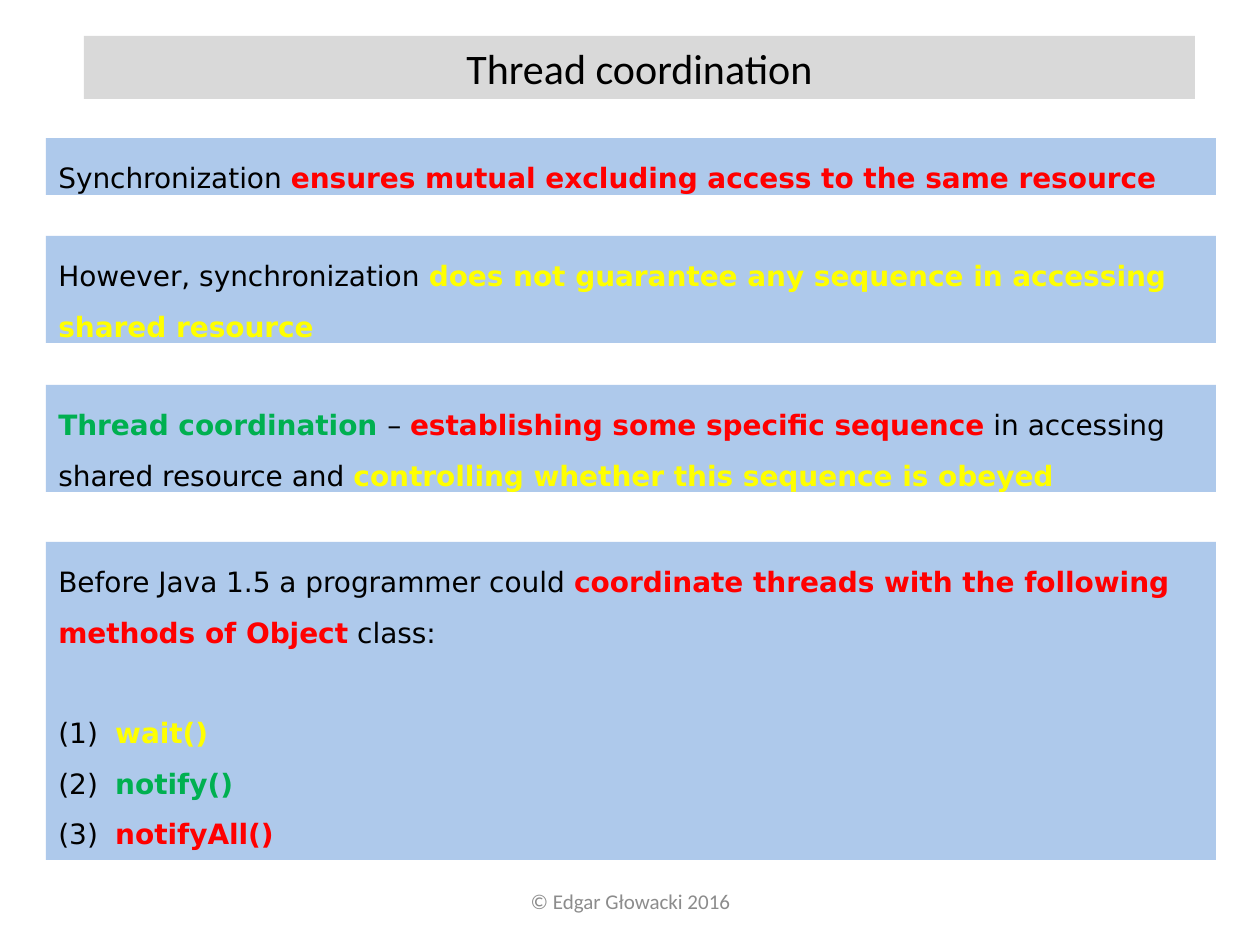
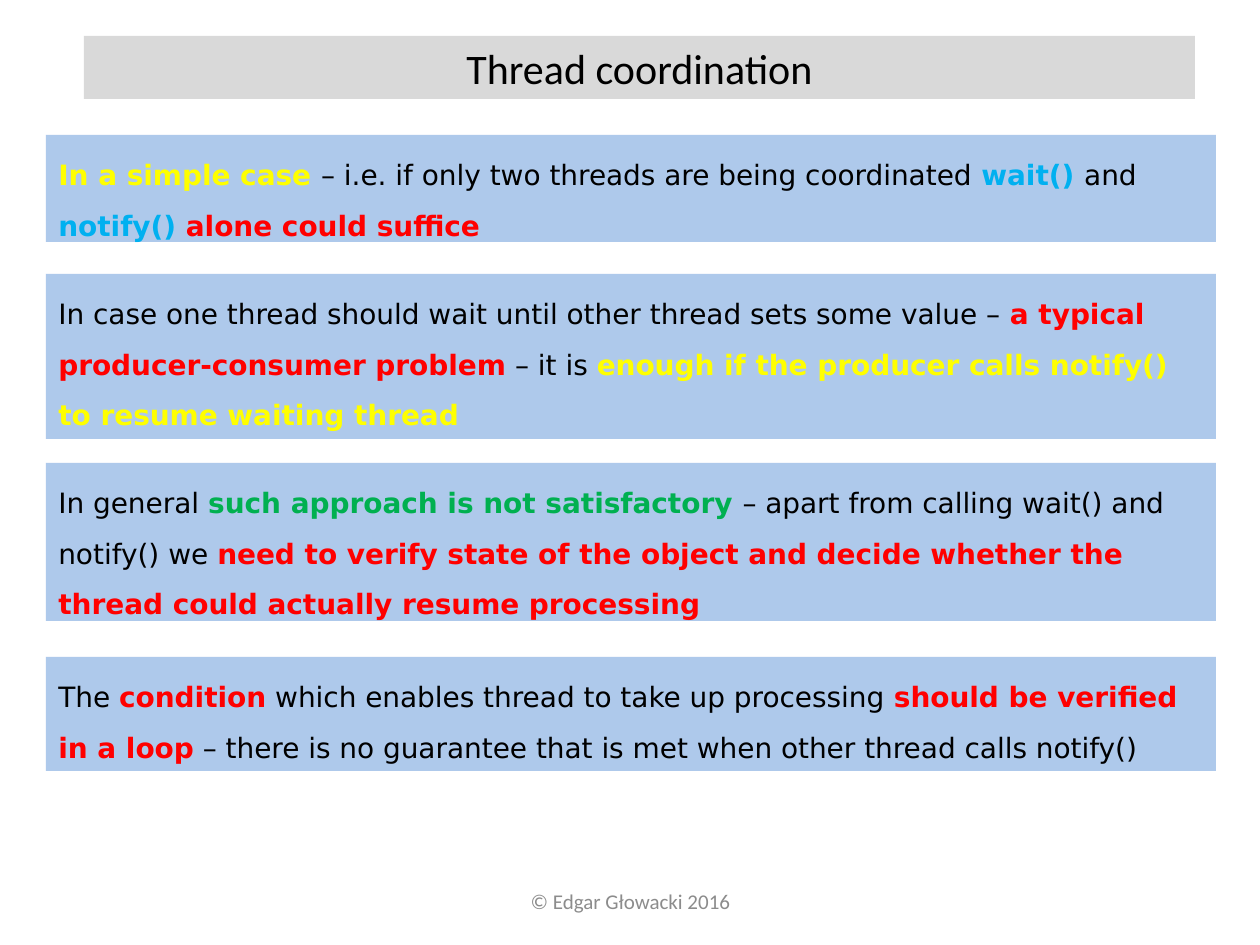
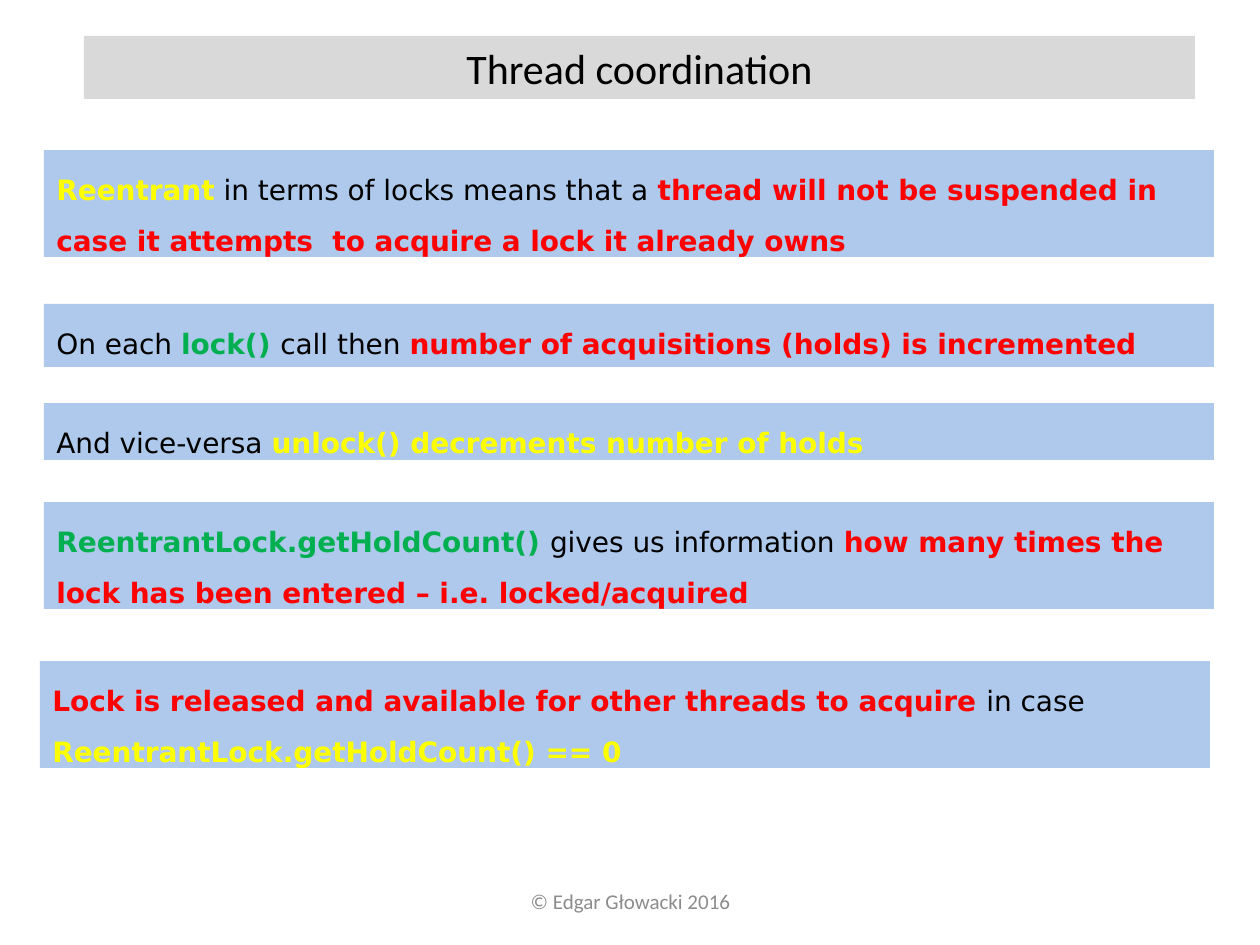
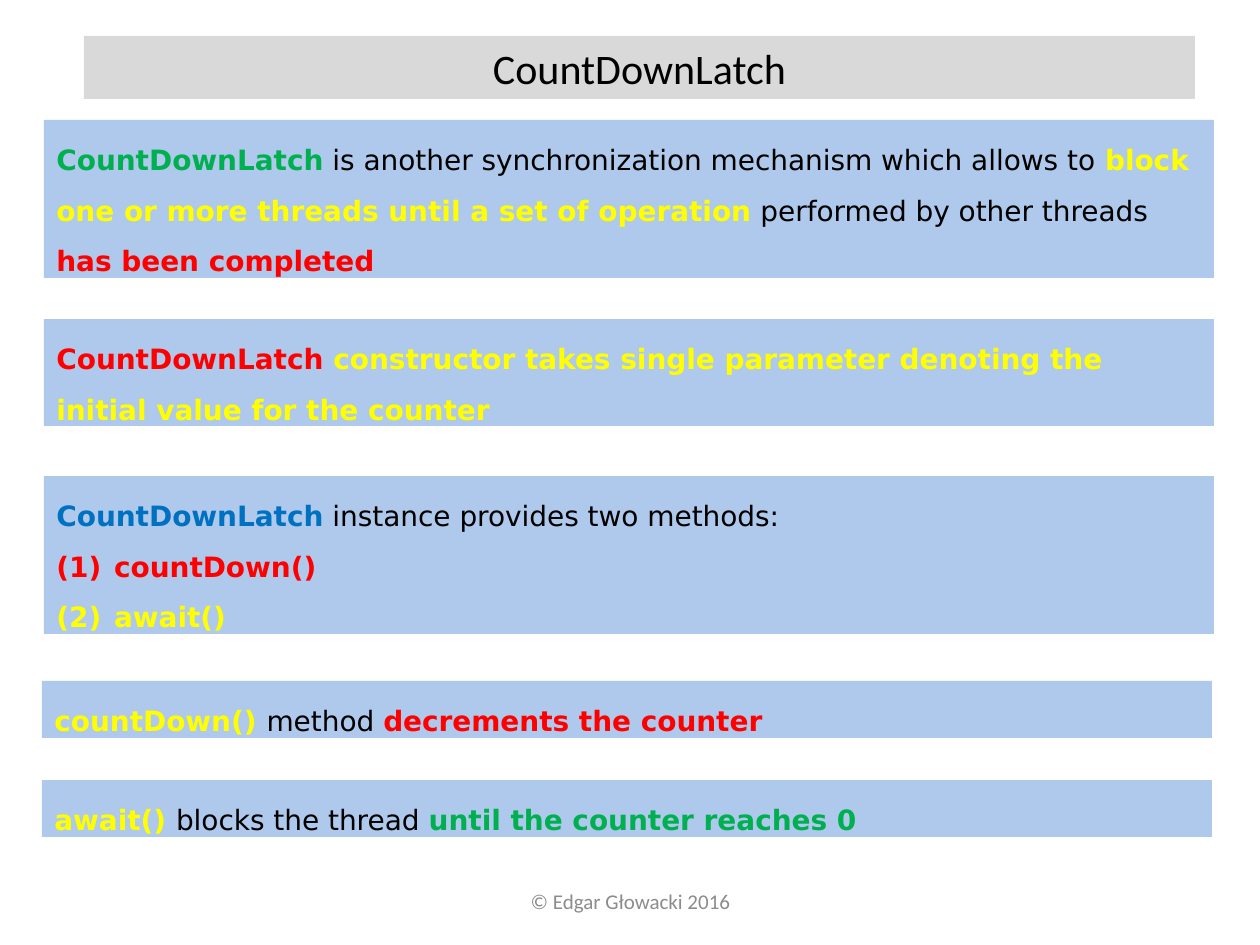
from dataclasses import dataclass

from lxml import etree
from pptx import Presentation
from pptx.dml.color import RGBColor
from pptx.enum.shapes import MSO_SHAPE
from pptx.enum.text import MSO_ANCHOR, MSO_AUTO_SIZE, PP_ALIGN
from pptx.oxml.ns import qn
from pptx.util import Pt

RECTANGLE = MSO_SHAPE.RECTANGLE
TOP, MIDDLE = MSO_ANCHOR.TOP, MSO_ANCHOR.MIDDLE
LEFT, CENTER = PP_ALIGN.LEFT, PP_ALIGN.CENTER
GROW = MSO_AUTO_SIZE.SHAPE_TO_FIT_TEXT
PX = 914400 / 126


@dataclass(frozen=True)
class Theme:
    black: str = "000000"
    red: str = "FF0000"
    yellow: str = "FFFF00"
    green: str = "00B050"
    sky: str = "00B0F0"
    blue: str = "0070C0"
    title_band: str = "D9D9D9"
    panel: str = "8EB4E3"
    panel_alpha: int = 71000
    footer: str = "8C8C8C"
    heading_font: str = "Calibri"
    body_font: str = "DejaVu Sans"
    title_size: int = 24
    body_size: int = 16
    footer_size: int = 12
    line_spacing: float = 1.5
    list_gap: float = 28.8


theme = Theme()
BLACK, RED, YELLOW, GREEN = theme.black, theme.red, theme.yellow, theme.green
SKY, BLUE = theme.sky, theme.blue

FOOTER = "© Edgar Głowacki 2016"
PANEL_WIDTH = 1170
LIST_INDENT = 48

# Each slide: title, then panels as (left, top, height, paragraphs, numbered items, gap before the items).
# A paragraph is a list of (text, colour); every coloured text is bold.
slides = [
    ("Thread coordination", [
        (46, 138, 57, [[
            ("Synchronization ", BLACK),
            ("ensures mutual excluding access to the same resource", RED)]], [], 0),
        (46, 236, 107, [[
            ("However, synchronization ", BLACK),
            ("does not guarantee any sequence in accessing shared resource", YELLOW)]], [], 0),
        (46, 385, 107, [[
            ("Thread coordination ", GREEN), ("– ", BLACK),
            ("establishing some specific sequence", RED),
            (" in accessing shared resource and ", BLACK),
            ("controlling whether this sequence is obeyed", YELLOW)]], [], 0),
        (46, 542, 318, [[
            ("Before Java 1.5 a programmer could ", BLACK),
            ("coordinate threads with the following methods of Object", RED),
            (" class:", BLACK)]], [
            [(" ", BLACK), ("wait()", YELLOW)],
            [(" ", BLACK), ("notify()", GREEN)],
            [(" ", BLACK), ("notifyAll()", RED)]], theme.list_gap),
    ]),
    ("Thread coordination", [
        (46, 135, 107, [[
            ("In a simple case ", YELLOW),
            ("– i.e. if only two threads are being coordinated ", BLACK),
            ("wait() ", SKY), ("and ", BLACK), ("notify() ", SKY),
            ("alone could suffice", RED)]], [], 0),
        (46, 274, 165, [[
            ("In case one thread should wait until other thread sets some value – ", BLACK),
            ("a typical producer-consumer problem", RED), (" – it is ", BLACK),
            ("enough if the producer calls notify() to resume waiting thread", YELLOW)]], [], 0),
        (46, 463, 158, [[
            ("In general ", BLACK), ("such approach is not satisfactory ", GREEN),
            ("– apart from calling wait() and notify() we ", BLACK),
            ("need to verify state of the object and decide whether the thread "
             "could actually resume processing", RED)]], [], 0),
        (46, 657, 114, [[
            ("The ", BLACK), ("condition", RED),
            (" which enables thread to take up processing ", BLACK),
            ("should be verified in a loop", RED),
            (" – there is no guarantee that is met when other thread calls notify()", BLACK)]], [], 0),
    ]),
    ("Thread coordination", [
        (44, 150, 107, [[
            ("Reentrant", YELLOW), (" in terms of locks means that a ", BLACK),
            ("thread will not be suspended in case it attempts  to acquire a lock "
             "it already owns", RED)]], [], 0),
        (44, 304, 63, [[
            ("On each ", BLACK), ("lock() ", GREEN), ("call then ", BLACK),
            ("number of acquisitions (holds) is incremented", RED)]], [], 0),
        (44, 403, 57, [[
            ("And vice-versa ", BLACK),
            ("unlock() decrements number of holds", YELLOW)]], [], 0),
        (44, 502, 107, [[
            ("ReentrantLock.getHoldCount() ", GREEN), ("gives us information ", BLACK),
            ("how many times the lock has been entered – i.e. locked/acquired", RED)]], [], 0),
        (40, 661, 107, [[
            ("Lock is released and available for other threads to acquire ", RED),
            ("in case ", BLACK), ("ReentrantLock.getHoldCount() == 0", YELLOW)]], [], 0),
    ]),
    ("CountDownLatch", [
        (44, 120, 158, [[
            ("CountDownLatch", GREEN),
            (" is another synchronization mechanism which allows to ", BLACK),
            ("block one or more threads until a set of operation", YELLOW),
            (" performed by other threads ", BLACK), ("has been completed", RED)]], [], 0),
        (44, 319, 107, [[
            ("CountDownLatch ", RED),
            ("constructor takes single parameter denoting the initial value "
             "for the counter", YELLOW)]], [], 0),
        (44, 476, 158, [[
            ("CountDownLatch", BLUE), (" instance provides two methods:", BLACK)]], [
            [(" countDown()", RED)],
            [(" await()", YELLOW)]], 0),
        (42, 681, 57, [[
            ("countDown() ", YELLOW), ("method ", BLACK),
            ("decrements the counter", RED)]], [], 0),
        (42, 780, 57, [[
            ("await() ", YELLOW), ("blocks the thread ", BLACK),
            ("until the counter reaches 0", GREEN)]], [], 0),
    ]),
]


def px(*lengths):
    return [round(length * PX) for length in lengths]


def style(font, name, size, colour, bold=False):
    font.name = name
    font.size = Pt(size)
    font.bold = bold
    font.color.rgb = RGBColor.from_string(colour)


deck = Presentation()
deck.slide_width, deck.slide_height = px(1260, 945)
blank = deck.slide_layouts[6]

for title, panels in slides:
    slide = deck.slides.add_slide(blank)

    # Footer
    footer = slide.shapes.add_textbox(*px(431, 876, 399, 50)).text_frame
    footer.word_wrap = True
    footer.vertical_anchor = MIDDLE
    footer.text = FOOTER
    footer.paragraphs[0].alignment = CENTER
    style(footer.paragraphs[0].runs[0].font, theme.heading_font, theme.footer_size, theme.footer)

    # Title band and panels share one kind of box
    boxes = [(84, 36, 1111, 63, theme.title_band)]
    boxes += [(left, top, PANEL_WIDTH, height, theme.panel) for left, top, height, *_ in panels]
    frames = []
    for *place, fill in boxes:
        box = slide.shapes.add_shape(RECTANGLE, *px(*place))
        box.shadow.inherit = False
        box.line.fill.background()
        box.fill.solid()
        box.fill.fore_color.rgb = RGBColor.from_string(fill)
        if fill == theme.panel:
            colour = box.fill._xPr.find(".//" + qn("a:srgbClr"))
            etree.SubElement(colour, qn("a:alpha"), val=str(theme.panel_alpha))
        box.text_frame.word_wrap = True
        box.text_frame.auto_size = GROW
        box.text_frame.vertical_anchor = TOP
        frames.append(box.text_frame)

    # Title text
    heading, *bodies = frames
    heading.text = title
    heading.paragraphs[0].alignment = CENTER
    style(heading.paragraphs[0].runs[0].font, theme.heading_font, theme.title_size, BLACK)

    # Panel text, with numbered items after the plain paragraphs
    for body, (*_, sentences, items, gap) in zip(bodies, panels):
        for index, pieces in enumerate(sentences + items):
            paragraph = body.add_paragraph() if index else body.paragraphs[0]
            if index >= len(sentences):
                properties = paragraph._p.get_or_add_pPr()
                indent, = px(LIST_INDENT)
                properties.set("marL", str(indent))
                properties.set("indent", str(-indent))
                etree.SubElement(properties, qn("a:buAutoNum"), type="arabicParenBoth")
                if gap and index == len(sentences):
                    paragraph.space_before = Pt(gap)
            paragraph.alignment = LEFT
            paragraph.line_spacing = theme.line_spacing
            for text, colour in pieces:
                run = paragraph.add_run()
                run.text = text
                style(run.font, theme.body_font, theme.body_size, colour, colour != BLACK)

deck.save("out.pptx")
